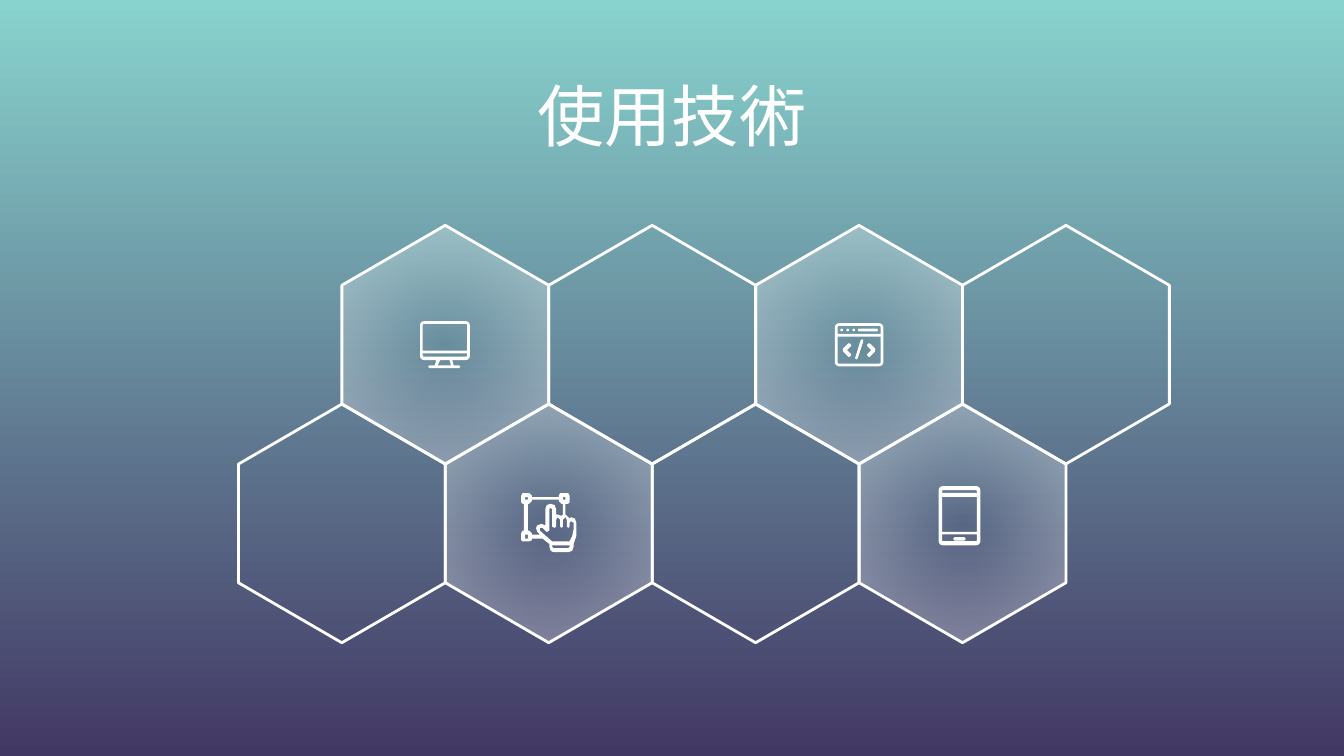
"""Build a slide of technology icons set in a honeycomb."""
from math import cos, pi, sin

from lxml import etree
from pptx import Presentation
from pptx.dml.color import RGBColor
from pptx.enum.shapes import MSO_SHAPE
from pptx.enum.text import MSO_ANCHOR, PP_ALIGN
from pptx.oxml.ns import qn
from pptx.util import Cm, Pt

HEXAGON, DOT = MSO_SHAPE.HEXAGON, MSO_SHAPE.OVAL
CENTER, MIDDLE = PP_ALIGN.CENTER, MSO_ANCHOR.MIDDLE

COLORS = {"white": "FFFFFF", "sky": "88D3CE", "dusk": "423864"}
FONT = "Calibri"

CELL_WIDTH, CELL_HEIGHT, ROW_PITCH = 3.91, 4.51, 3.38
COMB_LEFT, COMB_TOP = 6.46, 4.26
ICON_UNIT = Cm(2.54) / 100

MONITOR_STAND = [(12, 29), (11, 33), (7, 33), (6, 34), (7, 35), (29, 35),
                 (30, 34), (29, 33), (25, 33), (24, 29)]
STAND_GAP = [(15, 29), (22, 29), (23, 33), (13, 33)]
CHEVRON = [(25, 15), (24, 16), (24, 17), (27, 20), (24, 23), (24, 24),
           (25, 25), (26, 25), (30, 21), (30, 19), (26, 15)]
SLASH = [(20, 12), (19, 13), (15, 26), (16, 27), (17, 26), (21, 14), (21, 12)]
SELECTION_EDGE = [
    (1, 0), (0, 2), (0, 7), (1, 8), (2, 8), (2, 28), (1, 28), (0, 30),
    (0, 35), (1, 36), (6, 36), (8, 35), (8, 34), (16, 34), (21, 38), (21, 40),
    (22, 43), (24, 44), (35, 44), (38, 43), (39, 40), (39, 38), (41, 32),
    (41, 22), (40, 19), (37, 18), (36, 19), (33, 16), (33, 8), (35, 8),
    (36, 7), (36, 2), (35, 0), (29, 0), (28, 2), (28, 3), (8, 3), (8, 2),
    (6, 0)]
SELECTION_AREA = [
    (28, 5), (28, 6), (30, 8), (31, 8), (31, 16), (30, 17), (27, 16),
    (26, 16), (26, 12), (25, 9), (22, 8), (19, 9), (18, 12), (18, 24),
    (15, 23), (12, 24), (11, 26), (12, 29), (14, 31), (8, 31), (8, 30),
    (6, 28), (5, 28), (5, 8), (6, 8), (8, 6), (8, 5)]
HAND = [
    (22, 11), (23, 12), (23, 25), (25, 26), (26, 25), (26, 20), (27, 18),
    (29, 20), (29, 25), (30, 26), (31, 25), (31, 20), (33, 18), (34, 20),
    (34, 25), (35, 26), (36, 25), (36, 22), (37, 21), (39, 22), (39, 27),
    (38, 32), (36, 36), (23, 36), (14, 28), (14, 26), (16, 26), (18, 28),
    (19, 29), (21, 28), (21, 12)]
CUFF = [(36, 39), (36, 40), (35, 41), (24, 41), (23, 40), (23, 39)]


def rgb(name):
    """Return the named colour."""
    return RGBColor.from_string(COLORS[name])


def panel(left, top, right, bottom, upper=0, lower=0):
    """Return the outline of a rectangle with rounded upper and lower corners."""
    corners = [(right - lower, bottom - lower, lower, 0),
               (left + lower, bottom - lower, lower, 1),
               (left + upper, top + upper, upper, 2),
               (right - upper, top + upper, upper, 3)]
    return [(x + radius * cos((turn + step / 4) * pi / 2),
             y + radius * sin((turn + step / 4) * pi / 2))
            for x, y, radius, turn in corners
            for step in (range(5) if radius else [0])]


def add_text(slide, text, left, top, width, height, *, size, color):
    """Add one centred line of text."""
    box = slide.shapes.add_textbox(Cm(left), Cm(top), Cm(width), Cm(height))
    frame = box.text_frame
    frame.word_wrap = True
    frame.vertical_anchor = MIDDLE
    frame.margin_top = frame.margin_bottom = Cm(0.25)
    line = frame.paragraphs[0]
    line.alignment = CENTER
    run = line.add_run()
    run.text = text
    run.font.name, run.font.size = FONT, Pt(size)
    run.font.color.rgb = rgb(color)


def fill_glow(shape):
    """Fill a shape with white that fades out towards its middle."""
    shape.fill.gradient()
    for stop in shape.fill.gradient_stops:
        stop.color.rgb = rgb("white")
    gradient = shape._element.spPr.find(qn("a:gradFill"))
    for color, opacity in zip(gradient.iter(qn("a:srgbClr")), (0, 39)):
        etree.SubElement(color, qn("a:alpha"), val=str(opacity * 1000))
    gradient.remove(gradient.find(qn("a:lin")))
    circle = etree.SubElement(gradient, qn("a:path"), path="circle")
    etree.SubElement(circle, qn("a:fillToRect"),
                     {side: "50000" for side in "ltrb"})


def add_cell(shapes, row, column, glowing):
    """Add one upright hexagon of the honeycomb."""
    center_x = COMB_LEFT + (column + 0.5 - row / 2) * CELL_WIDTH
    center_y = COMB_TOP + row * ROW_PITCH + CELL_HEIGHT / 2
    cell = shapes.add_shape(
        HEXAGON, Cm(center_x - CELL_HEIGHT / 2), Cm(center_y - CELL_WIDTH / 2),
        Cm(CELL_HEIGHT), Cm(CELL_WIDTH))
    cell.adjustments[0] = 0.29
    cell.rotation = 90
    cell.shadow.inherit = False
    cell.line.color.rgb = rgb("white")
    cell.line.width = Pt(1.5)
    if glowing:
        fill_glow(cell)
    else:
        cell.fill.background()


def paint_white(shape):
    """Give an icon part a plain white fill."""
    shape.shadow.inherit = False
    shape.fill.solid()
    shape.fill.fore_color.rgb = rgb("white")
    shape.line.fill.background()


def add_part(shapes, origin, *outlines):
    """Add an icon part whose inner outlines are cut out of the outer one."""
    left, top = (Cm(length) for length in origin)
    placed = [[(left + x * ICON_UNIT, top + y * ICON_UNIT) for x, y in outline]
              for outline in outlines]
    builder = shapes.build_freeform(*placed[0][0])
    builder.add_line_segments(placed[0][1:])
    for outline in placed[1:]:
        builder.move_to(*outline[0])
        builder.add_line_segments(outline[1:])
    paint_white(builder.convert_to_shape())


def draw_monitor(shapes):
    """Draw the desktop monitor icon."""
    add_part(shapes, (7.94, 6.07), panel(0, 0, 37, 29, 3, 3),
             panel(2, 2, 35, 22, 1), panel(2, 24, 35, 26.5, 0, 1),
             MONITOR_STAND, STAND_GAP)


def draw_browser(shapes):
    """Draw the code window icon."""
    origin = left, top = 15.78, 6.11
    add_part(shapes, origin, panel(0, 0, 36, 32, 3, 3),
             panel(2, 2, 34, 8, 1), panel(2, 10, 34, 30, 0, 1))
    diameter = round(2 * ICON_UNIT)
    for x in (4, 8.5, 13):
        paint_white(shapes.add_shape(
            DOT, round(Cm(left) + x * ICON_UNIT),
            round(Cm(top) + 4 * ICON_UNIT), diameter, diameter))
    mirrored = [(36 - x, y) for x, y in CHEVRON]
    for outline in (panel(17, 4, 32, 6, 1, 1), CHEVRON, mirrored, SLASH):
        add_part(shapes, origin, outline)


def draw_touch(shapes):
    """Draw the hand on a selection frame icon."""
    handles = [panel(3, 3, 5, 5), panel(31, 3, 33, 5), panel(3, 31, 5, 34)]
    add_part(shapes, (9.85, 9.32), SELECTION_EDGE, SELECTION_AREA, HAND, CUFF,
             *handles)


def draw_phone(shapes):
    """Draw the mobile device icon."""
    origin = 17.74, 9.19
    add_part(shapes, origin, panel(0, 0, 31, 44, 3, 3),
             panel(2.5, 3, 28.5, 5, 1), panel(2.5, 8, 28.5, 34),
             panel(2.5, 36, 28.5, 41, 0, 1))
    add_part(shapes, origin, panel(11, 38, 20, 40.5, 1.2, 1.2))


def main():
    """Build and save the slide."""
    deck = Presentation()
    deck.slide_width, deck.slide_height = Cm(25.4), Cm(14.29)
    slide = deck.slides.add_slide(deck.slide_layouts[6])
    sky = slide.background.fill
    sky.gradient()
    sky.gradient_angle = 270
    for stop, color in zip(sky.gradient_stops, ("sky", "dusk")):
        stop.color.rgb = rgb(color)

    add_text(slide, "使用技術", 1.5, 1.25, 22.4, 1.85, size=36, color="white")
    icons = {(0, 0): draw_monitor, (0, 2): draw_browser,
             (1, 1): draw_touch, (1, 3): draw_phone}
    for place, draw_icon in icons.items():
        group = slide.shapes.add_group_shape()
        add_cell(group.shapes, *place, glowing=True)
        draw_icon(group.shapes)
    for place in ((1, 0), (1, 2), (0, 1), (0, 3)):
        add_cell(slide.shapes, *place, glowing=False)
    deck.save("out.pptx")


if __name__ == "__main__":
    main()
